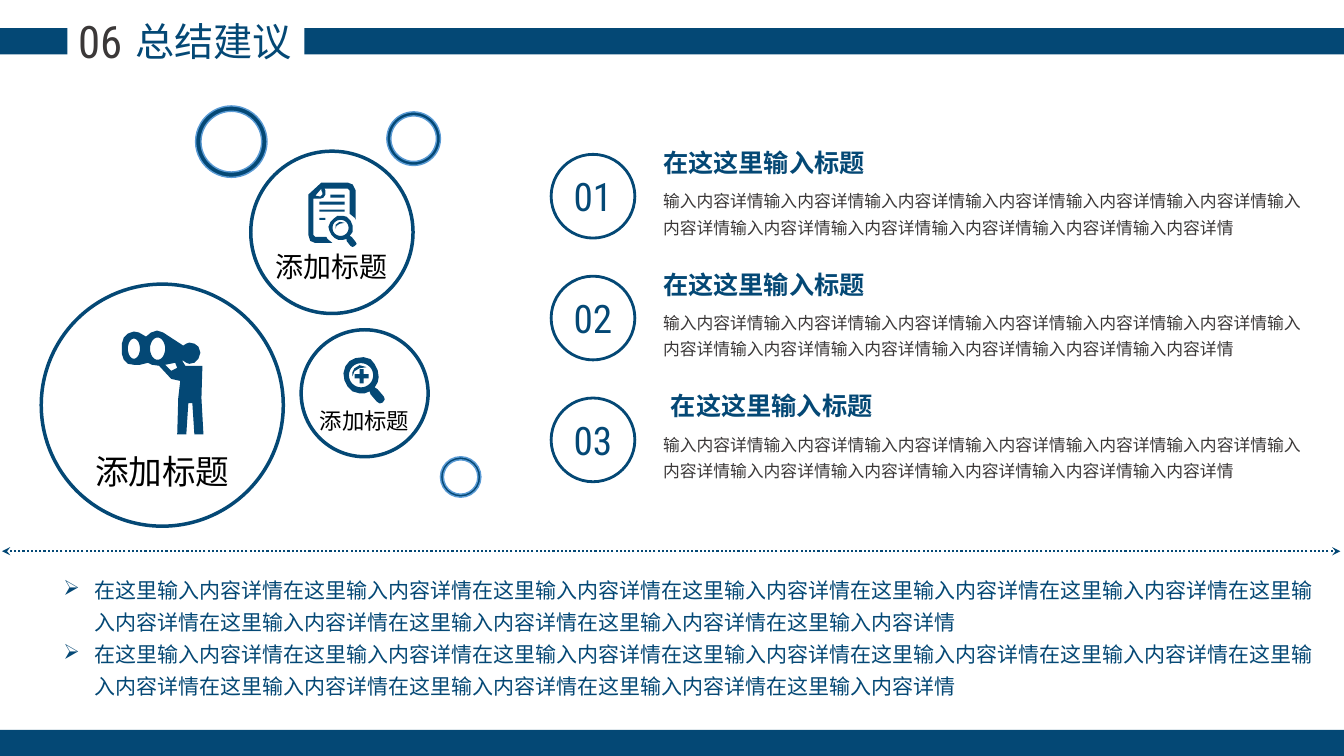
import math

from lxml import etree
from pptx import Presentation
from pptx.dml.color import RGBColor
from pptx.enum.dml import MSO_LINE
from pptx.enum.shapes import MSO_CONNECTOR, MSO_SHAPE
from pptx.enum.text import MSO_ANCHOR, MSO_AUTO_SIZE, PP_ALIGN
from pptx.oxml.ns import qn
from pptx.util import Cm, Pt

RECT, OVAL, DONUT = MSO_SHAPE.RECTANGLE, MSO_SHAPE.OVAL, MSO_SHAPE.DONUT
LEFT, CENTER = PP_ALIGN.LEFT, PP_ALIGN.CENTER
TOP, MIDDLE = MSO_ANCHOR.TOP, MSO_ANCHOR.MIDDLE

WIDE, HIGH = 33.87, 19.05
COLORS = {"navy": "044875", "sky": "5B9BD5", "gray": "3B3838", "black": "000000"}
HAN, NUM = "Noto Sans CJK SC", "Roboto Condensed"
GRID = 0.0254  # cm for one unit of an icon
FINE = 10


def color(name):
    return RGBColor.from_string(COLORS[name])


def add_text(frame, text, size, ink, font=HAN, align=LEFT, bold=False, lead=None, first=True):
    """Write one paragraph and return it."""
    para = frame.paragraphs[0] if first else frame.add_paragraph()
    para.alignment = align
    if lead:
        para.line_spacing = Pt(lead)
    run = para.add_run()
    run.text = text
    run.font.size, run.font.bold, run.font.name = Pt(size), bold, font
    run.font.color.rgb = color(ink)
    etree.SubElement(run.font._element, qn("a:ea"), typeface=font)
    return para


def add_box(slide, x, y, w, h):
    frame = slide.shapes.add_textbox(Cm(x), Cm(y), Cm(w), Cm(h)).text_frame
    frame.word_wrap = True
    return frame


def add_form(slide, kind, x, y, w, h, fill=None, line=None, weight=1):
    form = slide.shapes.add_shape(kind, Cm(x), Cm(y), Cm(w), Cm(h))
    form.shadow.inherit = False
    if fill:
        form.fill.solid()
        form.fill.fore_color.rgb = color(fill)
    else:
        form.fill.background()
    if line:
        form.line.color.rgb = color(line)
        form.line.width = Pt(weight)
    else:
        form.line.fill.background()
    return form


def round_path(cx, cy, rx, ry):
    steps = [math.tau * i / 32 for i in range(32)]
    return [(cx + rx * math.cos(a), cy + ry * math.sin(a)) for a in steps]


def bar_path(x1, y1, x2, y2):
    return [(x1, y1), (x2, y1), (x2, y2), (x1, y2)]


SCOUT = [
    [(35, 0), (29, 2), (24, 6), (17, 2), (12, 1), (6, 3), (2, 7), (0, 13), (0, 23), (2, 29),
     (6, 33), (12, 34), (18, 34), (26, 32), (30, 34), (37, 35), (49, 48), (58, 50), (56, 67),
     (55, 103), (64, 103), (66, 72), (70, 72), (72, 103), (81, 103), (79, 67), (80, 35),
     (63, 35), (60, 30), (61, 30), (64, 32), (67, 33), (72, 32), (76, 28), (78, 22), (76, 16),
     (72, 13), (67, 12), (64, 13), (61, 15), (41, 2)],
    [(55, 37), (49, 40), (43, 34), (53, 32)],
    round_path(12, 18, 6, 10),
    round_path(35.5, 18, 7.5, 11),
]
REPORT = [
    [(13, 0), (39, 0), (44, 2), (47, 8), (47, 37), (46, 35), (41, 31), (41, 8), (39, 6),
     (16, 6), (17, 8), (17, 12), (15, 15), (12, 16), (5, 16), (5, 52), (7, 54), (18, 54),
     (19, 56), (24, 60), (7, 60), (2, 58), (0, 52), (0, 12), (12, 1)],
    bar_path(11, 35, 17, 37),
    bar_path(11, 27, 36, 29),
    bar_path(11, 19, 36, 22),
    bar_path(22, 12, 36, 15),
    [(27, 46), (28, 43), (31, 41), (36, 40), (31, 39), (27, 42)],
    [(25, 36), (22, 39), (20, 44), (21, 48), (23, 52), (26, 55), (30, 57), (34, 57), (38, 56),
     (38, 58), (42, 63), (44, 64), (46, 63), (48, 61), (47, 59), (43, 54), (41, 53), (44, 49),
     (44, 43), (42, 38), (38, 34), (34, 33), (29, 33)],
    round_path(32, 45, 8, 8),
    [(13, 6), (7, 13), (12, 14), (14, 12), (14, 10), (13, 8)],
]
ZOOM = [
    [(7, 4), (13, 1), (21, 0), (28, 2), (32, 7), (35, 13), (36, 20), (35, 25), (32, 30),
     (35, 32), (41, 39), (42, 42), (40, 45), (37, 46), (34, 44), (28, 37), (27, 34), (22, 36),
     (17, 36), (10, 34), (5, 29), (2, 23), (1, 16), (3, 9)],
    round_path(18.5, 18, 12, 12),
    [(17, 26), (21, 26), (21, 21), (26, 21), (26, 17), (21, 17), (21, 12), (17, 12), (17, 17),
     (12, 17), (12, 21), (17, 21)],
    [(10, 19), (12, 14), (17, 11), (24, 10), (17, 8), (12, 11), (10, 15)],
]


def add_icon(slide, x, y, paths):
    """Draw all outlines as one shape; inner outlines cut holes."""
    pen = None
    for path in paths:
        start, *rest = [(px * FINE, py * FINE) for px, py in path]
        if pen is None:
            pen = slide.shapes.build_freeform(*start, scale=Cm(GRID) / FINE)
        else:
            pen.move_to(*start)
        pen.add_line_segments(rest, close=True)
    icon = pen.convert_to_shape(Cm(x), Cm(y))
    icon.shadow.inherit = False
    icon.fill.solid()
    icon.fill.fore_color.rgb = color("navy")
    icon.line.fill.background()


def add_frame(slide, number, title):
    """Place the bars, the section number and the title."""
    for x, y, w in ((0, 0.71, 1.7), (7.67, 0.71, WIDE - 7.67), (0, HIGH - 0.66, WIDE)):
        add_form(slide, RECT, x, y, w, 0.66, "navy")
    head = slide.shapes.title
    head.left, head.top, head.width, head.height = Cm(0.81), Cm(0.3), Cm(9.14), Cm(1.45)
    frame = head.text_frame
    frame.auto_size, frame.vertical_anchor = MSO_AUTO_SIZE.NONE, TOP
    add_text(frame, title, 28, "navy", align=CENTER, lead=None).line_spacing = 1.0
    add_text(add_box(slide, 1.52, 0.23, 2.01, 1.63), number, 32, "gray", NUM, CENTER)


def add_bubble(slide, x, y, d, paths, shift, drop, size):
    """Place a circle with an icon at shift and a label at drop, both from its corner."""
    add_form(slide, OVAL, x, y, d, d, line="navy", weight=2.5)
    add_icon(slide, x + shift[0], y + shift[1], paths)
    wide = 4.5
    label = add_box(slide, x + (d - wide) / 2, y + drop, wide, size * 0.055)
    add_text(label, "添加标题", size, "black", align=CENTER)


def add_point(slide, x, y, number, indent=0):
    """Place a numbered circle with its heading and details."""
    disc = add_form(slide, OVAL, x, y + 0.31, 2.11, 2.11, line="navy", weight=2)
    frame = disc.text_frame
    frame.margin_left = frame.margin_right = frame.margin_top = frame.margin_bottom = 0
    frame.vertical_anchor, frame.word_wrap = MIDDLE, False
    add_text(frame, number, 28, "navy", NUM, CENTER)
    side = x + 2.57
    heading = add_box(slide, side + indent, y, 7.62 - indent, 1.02)
    add_text(heading, "在这这里输入标题", 18, "navy", bold=True)
    add_text(add_box(slide, side, y + 0.94, 16.81, 1.6), "输入内容详情" * 12, 12, "gray", lead=19)


def add_divider(slide, y):
    line = slide.shapes.add_connector(MSO_CONNECTOR.STRAIGHT, Cm(33.78), Cm(y), Cm(0.05), Cm(y))
    line.line.color.rgb = color("navy")
    line.line.width = Pt(1.5)
    line.line.dash_style = MSO_LINE.ROUND_DOT
    ends = line.line._get_or_add_ln()
    for tag in ("a:headEnd", "a:tailEnd"):
        etree.SubElement(ends, qn(tag), type="stealth")
    etree.SubElement(line._element.spPr, qn("a:effectLst"))


def add_notes(slide, x, y, w, h):
    """Place the two bulleted paragraphs at the foot."""
    frame = add_box(slide, x, y, w, h)
    for i in range(2):
        para = add_text(frame, "在这里输入内容详情" * 11, 15, "navy", lead=23, first=i == 0)
        props = para._p.get_or_add_pPr()
        props.set("marL", str(Cm(0.79)))
        props.set("indent", str(-Cm(0.79)))
        etree.SubElement(props, qn("a:buChar"), char="➢")


def main():
    deck = Presentation()
    deck.slide_width, deck.slide_height = Cm(WIDE), Cm(HIGH)
    slide = deck.slides.add_slide(deck.slide_layouts[5])
    add_frame(slide, "06", "总结建议")
    for x, y, d in ((4.93, 2.67, 1.8), (9.75, 2.82, 1.35), (11.1, 11.51, 1.02)):
        ring = add_form(slide, DONUT, x, y, d, d, "navy", "sky")
        ring.adjustments[0] = 0.075
    add_bubble(slide, 1.04, 7.16, 6.1, SCOUT, (2.03, 1.17), 4.09, 24)
    add_bubble(slide, 6.32, 3.81, 4.09, REPORT, (1.45, 0.79), 2.34, 20)
    add_bubble(slide, 7.59, 8.31, 3.2, ZOOM, (1.04, 0.69), 1.83, 16)
    for i, indent in enumerate((0, 0, 0.2)):
        add_point(slide, 13.89, 3.58 + 3.07 * i, f"{i + 1:02}", indent)
    add_divider(slide, 13.89)
    add_notes(slide, 1.35, 14.25, 32.41, 3.53)
    deck.save("out.pptx")


if __name__ == "__main__":
    main()
